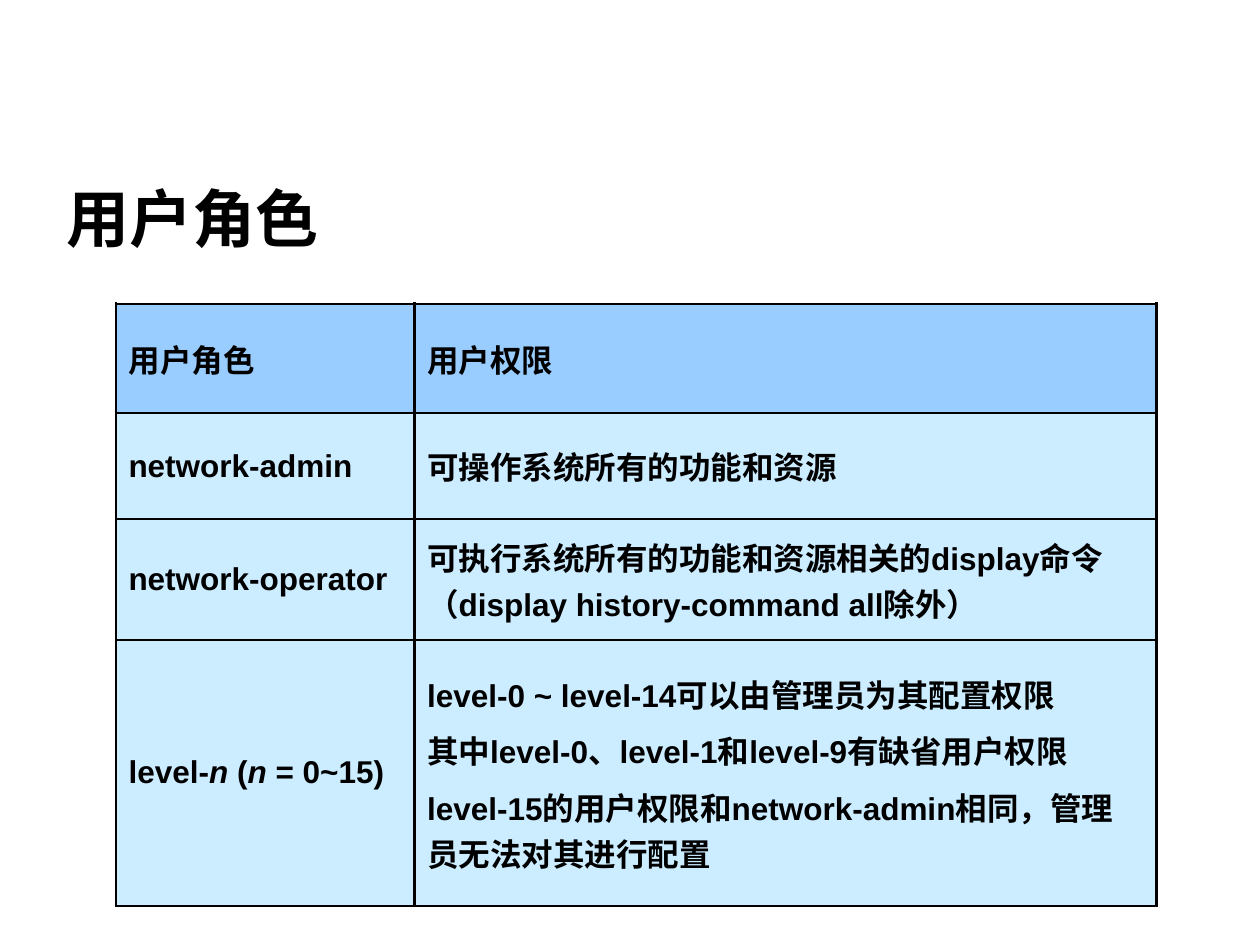
import pptx
import pptx.util
import pptx.dml.color
import pptx.enum.text
import pptx.oxml
import pptx.oxml.ns
import lxml.etree

Inches = pptx.util.Inches
Pt = pptx.util.Pt
qn = pptx.oxml.ns.qn
COLORS = {"text": "000000", "border": "000000", "header": "99CCFF", "body": "CCECFF"}
CJK_FONT = "Noto Sans CJK JP"


def style_paragraph(paragraph, size, font_name):
    font = paragraph.font
    font.size = Pt(size)
    font.bold = True
    font.color.rgb = pptx.dml.color.RGBColor.from_string(COLORS["text"])
    font.name = font_name
    defaults = paragraph._p.pPr.find(qn("a:defRPr"))
    lxml.etree.SubElement(defaults, qn("a:ea"), typeface=CJK_FONT)


def add_borders(cell):
    properties = cell._tc.get_or_add_tcPr()
    for position, side in enumerate(("lnL", "lnR", "lnT", "lnB")):
        line = pptx.oxml.parse_xml(
            f'<a:{side} xmlns:a="http://schemas.openxmlformats.org/drawingml/2006/main" w="{Pt(1.5)}">'
            f'<a:solidFill><a:srgbClr val="{COLORS["border"]}"/></a:solidFill></a:{side}>'
        )
        properties.insert(position, line)


presentation = pptx.Presentation()
presentation.slide_width = Inches(10)
presentation.slide_height = Inches(7.5)
slide = presentation.slides.add_slide(presentation.slide_layouts[6])

title = slide.shapes.add_textbox(Inches(0.43), Inches(1.39), Inches(7.92), Inches(0.67))
title.text_frame.word_wrap = True
title.text_frame.vertical_anchor = pptx.enum.text.MSO_ANCHOR.MIDDLE
title.text_frame.text = "用户角色"
style_paragraph(title.text_frame.paragraphs[0], 36, CJK_FONT)

column_widths = [2.37, 5.89]
row_heights = [0.87, 0.84, 0.96, 2.11]
role_rows = [
    [[["用户角色"]], [["用户权限"]]],
    [[["network-admin"]], [["可操作系统所有的功能和资源"]]],
    [
        [["network-operator"]],
        [["可执行系统所有的功能和资源相关的display命令（display history-command all除外）"]],
    ],
    [
        [["level-", "n ", "(", "n ", "= 0~15)"]],
        [
            ["level-0 ~ level-14可以由管理员为其配置权限"],
            ["其中level-0、level-1和level-9有缺省用户权限"],
            ["level-15的用户权限和network-admin相同，管理员无法对其进行配置"],
        ],
    ],
]

table = slide.shapes.add_table(
    len(row_heights), len(column_widths), Inches(0.92), Inches(2.41),
    Inches(sum(column_widths)), Inches(sum(row_heights)),
).table
for column, width in zip(table.columns, column_widths):
    column.width = Inches(width)
for row, height in zip(table.rows, row_heights):
    row.height = Inches(height)

for row_index, role_row in enumerate(role_rows):
    for column_index, paragraphs in enumerate(role_row):
        cell = table.cell(row_index, column_index)
        cell.vertical_anchor = pptx.enum.text.MSO_ANCHOR.MIDDLE
        cell.fill.solid()
        fill = COLORS["body" if row_index else "header"]
        cell.fill.fore_color.rgb = pptx.dml.color.RGBColor.from_string(fill)
        add_borders(cell)
        for paragraph_index, texts in enumerate(paragraphs):
            if paragraph_index == 0:
                paragraph = cell.text_frame.paragraphs[0]
            else:
                paragraph = cell.text_frame.add_paragraph()
                paragraph.space_before = Pt(1.8)
            paragraph.space_after = Pt(4.5)
            style_paragraph(paragraph, 18, "Arial")
            for text in texts:
                run = paragraph.add_run()
                run.text = text
                if text == "n ":
                    run.font.italic = True

presentation.save("out.pptx")
